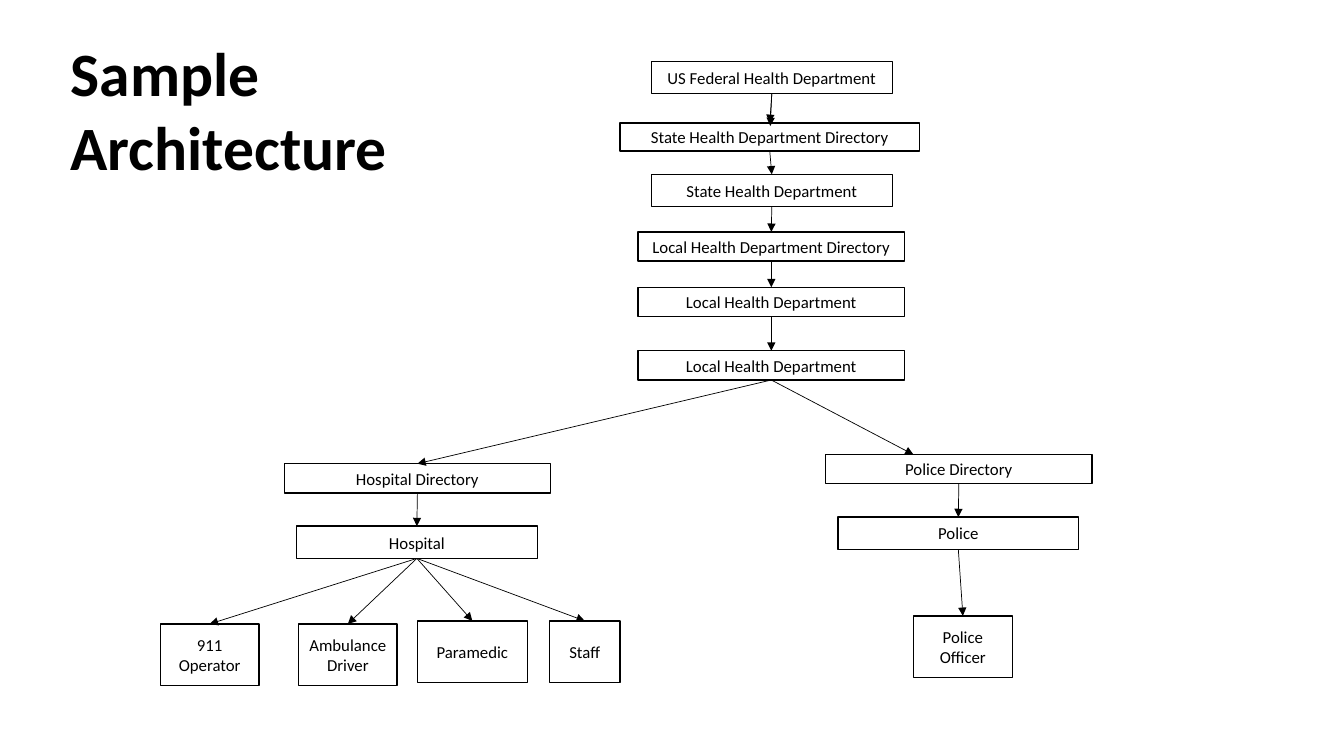
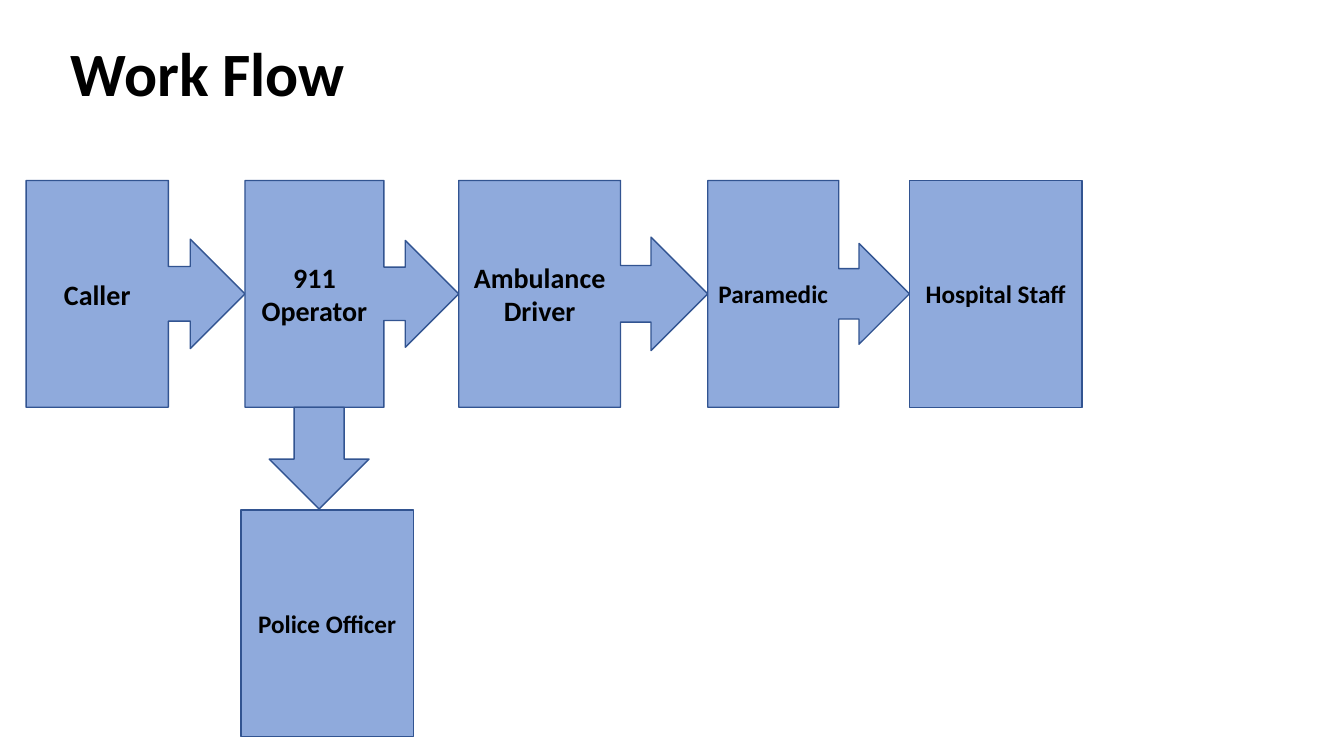
from lxml import etree
from pptx import Presentation
from pptx.dml.color import RGBColor
from pptx.enum.shapes import MSO_CONNECTOR, MSO_SHAPE
from pptx.enum.text import MSO_ANCHOR, MSO_AUTO_SIZE, PP_ALIGN
from pptx.oxml.ns import qn
from pptx.util import Pt

RECTANGLE = MSO_SHAPE.RECTANGLE
CALLOUT = MSO_SHAPE.RIGHT_ARROW_CALLOUT
DOWN_ARROW = MSO_SHAPE.DOWN_ARROW
STRAIGHT = MSO_CONNECTOR.STRAIGHT
MIDDLE, TOP = MSO_ANCHOR.MIDDLE, MSO_ANCHOR.TOP
CENTER, LEFT = PP_ALIGN.CENTER, PP_ALIGN.LEFT
NO_AUTOFIT = MSO_AUTO_SIZE.NONE

EMU_PER_PX = 9144  # 100 px to the inch
FONT = "Calibri"
COLORS = {"ink": "000000", "step": "8FAADC", "step_line": "325491"}
TITLE_ONLY = 5
BOTTOM_SIDE, TOP_SIDE = 2, 0

# Architecture boxes: key -> (text, left, top, width, height)
ARCHITECTURE = {
    "federal": ("US Federal Health Department", 646, 61, 239, 32),
    "state directory": ("State Health Department Directory", 615, 122, 297, 28),
    "state": ("State Health Department", 646, 173, 239, 32),
    "local directory": ("Local Health Department Directory", 633, 230, 264, 29),
    "local": ("Local Health Department", 633, 285, 264, 29),
    "local unit": ("Local Health Department", 633, 348, 264, 29),
    "hospital directory": ("Hospital Directory", 282, 460, 264, 29),
    "hospital": ("Hospital", 294, 522, 239, 32),
    "operator": ("911 Operator", 159, 619, 98, 61),
    "driver": ("Ambulance Driver", 296, 619, 98, 61),
    "paramedic": ("Paramedic", 414, 616, 109, 61),
    "staff": ("Staff", 545, 616, 70, 61),
    "police directory": ("Police Directory", 819, 451, 264, 29),
    "police": ("Police", 831, 513, 239, 32),
    "officer": ("Police Officer", 906, 611, 98, 61),
}
# Box -> boxes joined below it
LINKS = {
    "federal": ["state directory"],
    "state directory": ["state"],
    "state": ["local directory"],
    "local directory": ["local"],
    "local": ["local unit"],
    "local unit": ["hospital directory"],
    "hospital directory": ["hospital"],
    "hospital": ["operator", "driver", "paramedic", "staff"],
    "police directory": ["police"],
    "police": ["officer"],
}
# Box -> end point of an arrow that stops away from a side's middle
LOOSE_LINKS = {"federal": (764, 125), "local unit": (906, 451)}

# Workflow steps from left to right: text, shape, width, text size
STEPS = [
    ("Caller", CALLOUT, 217, 20),
    ("911 Operator", CALLOUT, 212, 20),
    ("Ambulance Driver", CALLOUT, 247, 20),
    ("Paramedic", CALLOUT, 200, 18),
    ("Hospital Staff", RECTANGLE, 171, 18),
]
STEP_LEFT, STEP_TOP, STEP_HEIGHT = 26, 179, 225
BRANCH_ARROW = (267, STEP_TOP + STEP_HEIGHT, 99, 101)
BRANCH_STEP = (239, 506, 171, STEP_HEIGHT)


def px(*lengths):
    return [length * EMU_PER_PX for length in lengths]


def color(name):
    return RGBColor.from_string(COLORS[name])


def style_text(frame, size, bold, align, anchor):
    frame.word_wrap = True
    frame.vertical_anchor = anchor
    for paragraph in frame.paragraphs:
        paragraph.alignment = align
        paragraph.font.name = FONT
        paragraph.font.size = Pt(size)
        paragraph.font.bold = bold
        paragraph.font.color.rgb = color("ink")


def add_titled_slide(presentation, text, height):
    slide = presentation.slides.add_slide(presentation.slide_layouts[TITLE_ONLY])
    title = slide.shapes.title
    title.left, title.top, title.width, title.height = px(60, 30, 360, height)
    title.text_frame.text = text
    title.text_frame.auto_size = NO_AUTOFIT
    style_text(title.text_frame, 44, True, LEFT, TOP)
    return slide


def add_box(slide, kind, place, line, fill=None, text="", size=12, bold=False):
    shape = slide.shapes.add_shape(kind, *px(*place))
    shape.shadow.inherit = False
    if fill:
        shape.fill.solid()
        shape.fill.fore_color.rgb = color(fill)
    else:
        shape.fill.background()
    shape.line.color.rgb = color(line)
    shape.line.width = Pt(1)
    if text:
        shape.text_frame.text = text
        style_text(shape.text_frame, size, bold, CENTER, MIDDLE)
    return shape


def add_arrow(slide, source, target=None, point=(0, 0)):
    connector = slide.shapes.add_connector(STRAIGHT, 0, 0, *px(*point))
    connector.begin_connect(source, BOTTOM_SIDE)
    if target is not None:
        connector.end_connect(target, TOP_SIDE)
    connector.line.color.rgb = color("ink")
    connector.line.width = Pt(0.5)
    properties = connector._element.spPr
    etree.SubElement(properties.find(qn("a:ln")), qn("a:tailEnd"), type="triangle")
    etree.SubElement(properties, qn("a:effectLst"))


def build_architecture(presentation):
    slide = add_titled_slide(presentation, "Sample Architecture", 158)
    boxes = {
        key: add_box(slide, RECTANGLE, place, "ink", text=text)
        for key, (text, *place) in ARCHITECTURE.items()
    }
    for source, targets in LINKS.items():
        for target in targets:
            add_arrow(slide, boxes[source], boxes[target])
    for source, point in LOOSE_LINKS.items():
        add_arrow(slide, boxes[source], point=point)


def build_workflow(presentation):
    slide = add_titled_slide(presentation, "Work Flow", 84)

    def add_step(kind, place, text="", size=18):
        shape = add_box(slide, kind, place, "step_line", "step", text, size, True)
        shape.text_frame.margin_left, shape.text_frame.margin_right = px(5, 5)

    # Row of steps, each touching the next
    left = STEP_LEFT
    for text, kind, width, size in STEPS:
        add_step(kind, (left, STEP_TOP, width, STEP_HEIGHT), text, size)
        left += width

    # Branch down from the operator
    add_step(DOWN_ARROW, BRANCH_ARROW)
    add_step(RECTANGLE, BRANCH_STEP, "Police Officer")


def main():
    presentation = Presentation()
    presentation.slide_width, presentation.slide_height = px(1333, 750)
    build_architecture(presentation)
    build_workflow(presentation)
    presentation.save("out.pptx")


if __name__ == "__main__":
    main()
